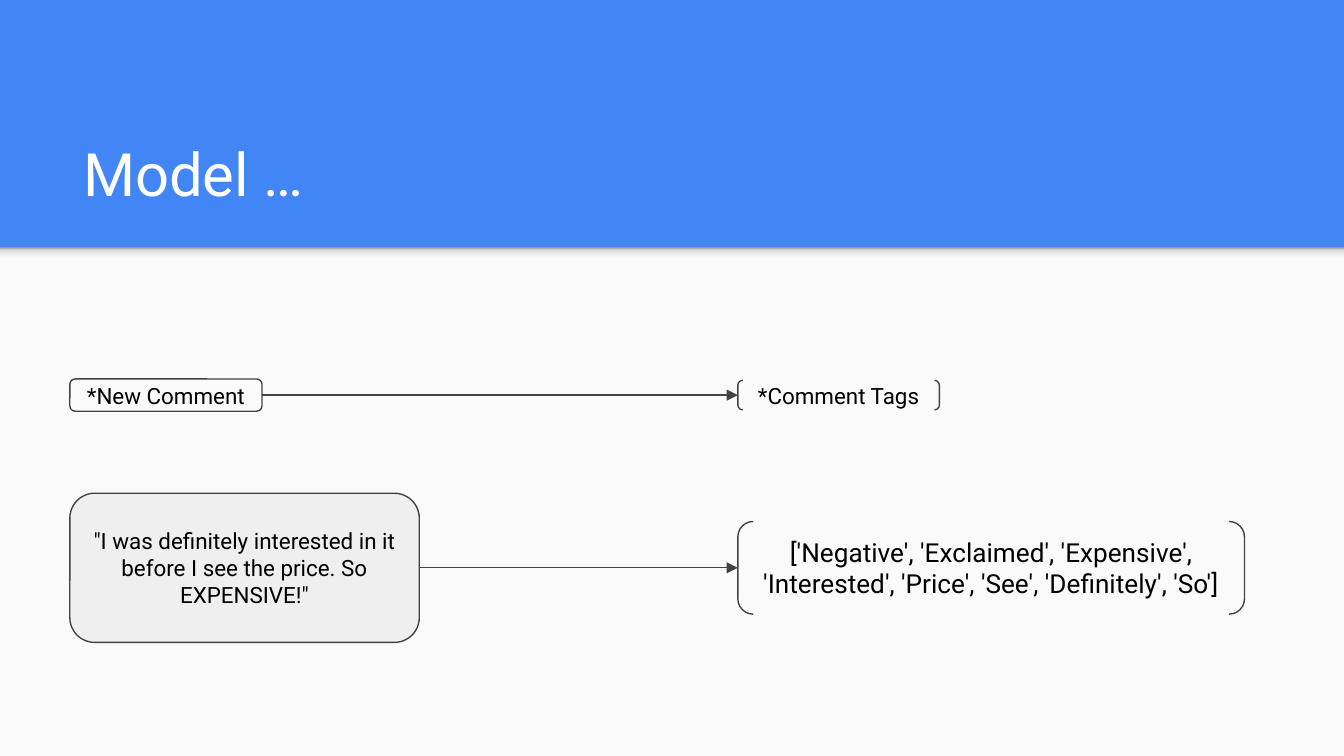
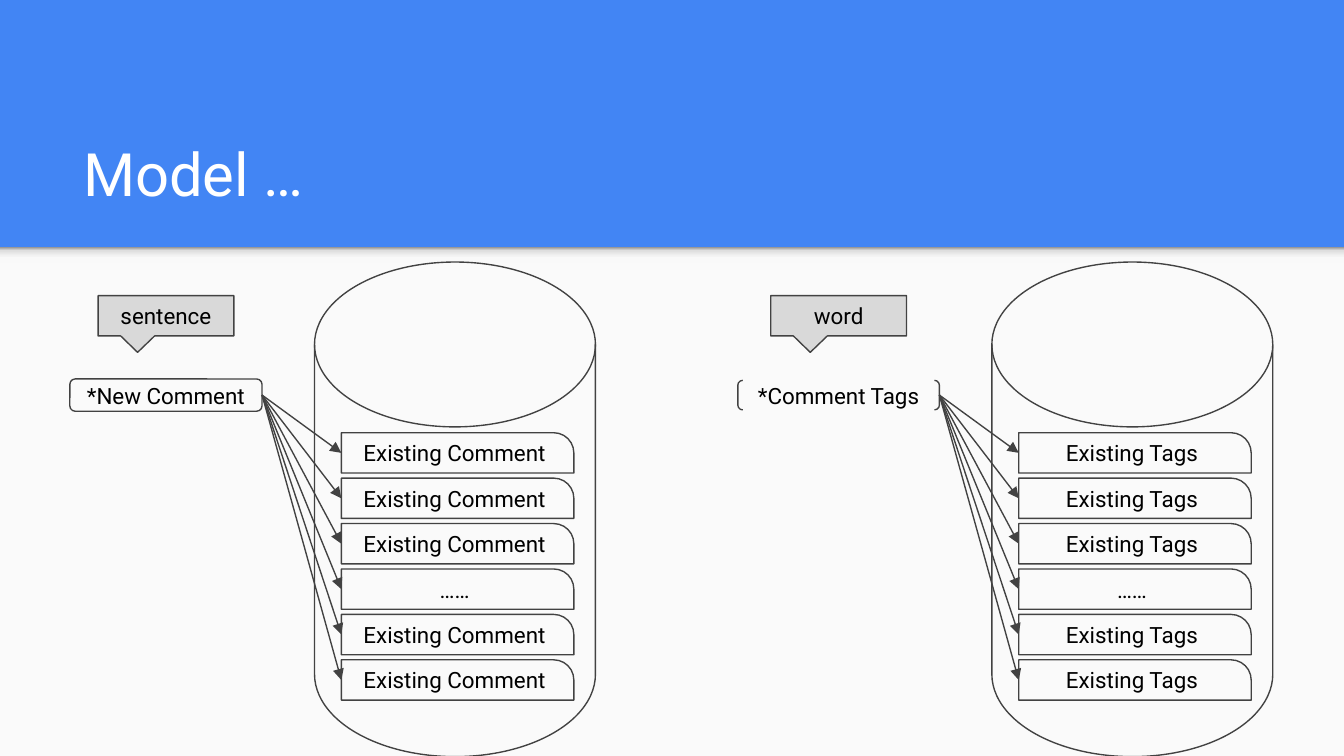
import copy

import pptx
import pptx.dml.color
import pptx.enum.shapes
import pptx.enum.text
import pptx.oxml.ns
import pptx.util
from lxml import etree

Inches = pptx.util.Inches
Pt = pptx.util.Pt
RGBColor = pptx.dml.color.RGBColor
SHAPE = pptx.enum.shapes.MSO_SHAPE
ALIGN = pptx.enum.text.PP_ALIGN
ANCHOR = pptx.enum.text.MSO_ANCHOR

BLUE = RGBColor(0x42, 0x85, 0xF4)
PAPER = RGBColor(0xFA, 0xFA, 0xFA)
WHITE = RGBColor(0xFF, 0xFF, 0xFF)
BLACK = RGBColor(0x00, 0x00, 0x00)
OUTLINE = RGBColor(0x42, 0x42, 0x42)
QUOTE_FILL = RGBColor(0xEF, 0xEF, 0xEF)
CALLOUT_FILL = RGBColor(0xD9, 0xD9, 0xD9)
SHADE_STOPS = (
    (0, RGBColor(0xF9, 0xF9, 0xF9)),
    (0.36, RGBColor(0xF9, 0xF9, 0xF9)),
    (0.8, RGBColor(0xDE, 0xDE, 0xDE)),
    (1, RGBColor(0x99, 0x99, 0x99)),
)

FONT = "Roboto"
WIDTH = 10
HEIGHT = WIDTH * 9 / 16
BAND_BOTTOM = 1.84
LEFT_SITE, RIGHT_SITE = 1, 3
COMMENT_BOX = (0.52, 2.82, 1.43, 0.24)
TAGS_BOX = (5.49, 2.83, 1.5, 0.22)
ROW_COUNT = 6
ELLIPSIS_ROW = 3
ROW_PITCH = 1.69 / (ROW_COUNT - 1)


def write(shape, text, size, color, align, anchor):
    frame = shape.text_frame
    frame.word_wrap = True
    frame.vertical_anchor = anchor
    frame.margin_left = frame.margin_right = Inches(0.1)
    frame.margin_top = frame.margin_bottom = Inches(0.1)
    para = frame.paragraphs[0]
    para.alignment = align
    span = para.add_run()
    span.text = text
    span.font.name = FONT
    span.font.size = Pt(size)
    span.font.color.rgb = color


def add_node(page, kind, box, text="", size=12, fill=None, outline=OUTLINE, adjust=()):
    node = page.shapes.add_shape(kind, *map(Inches, box))
    node.shadow.inherit = False
    if fill is None:
        node.fill.background()
    else:
        node.fill.solid()
        node.fill.fore_color.rgb = fill
    if outline is None:
        node.line.fill.background()
    else:
        node.line.color.rgb = outline
        node.line.width = Pt(0.75)
    for index, value in enumerate(adjust):
        node.adjustments[index] = value
    if text:
        write(node, text, size, BLACK, ALIGN.CENTER, ANCHOR.MIDDLE)
    return node


def add_arrow(page, source, target):
    arrow = page.shapes.add_connector(pptx.enum.shapes.MSO_CONNECTOR.STRAIGHT, 0, 0, 0, 0)
    arrow.begin_connect(source, RIGHT_SITE)
    arrow.end_connect(target, LEFT_SITE)
    arrow.line.color.rgb = OUTLINE
    arrow.line.width = Pt(0.75)
    line = arrow._element.spPr.find(pptx.oxml.ns.qn("a:ln"))
    etree.SubElement(line, pptx.oxml.ns.qn("a:tailEnd"), type="triangle")
    etree.SubElement(arrow._element.spPr, pptx.oxml.ns.qn("a:effectLst"))


def add_band_shade(page, box):
    shade = add_node(page, SHAPE.RECTANGLE, box, outline=None)
    shade.fill.gradient()
    shade.fill.gradient_angle = 90
    stop_list = shade._element.spPr.find(".//" + pptx.oxml.ns.qn("a:gsLst"))
    while len(stop_list) < len(SHADE_STOPS):
        stop_list.append(copy.deepcopy(stop_list[0]))
    for stop, (position, color) in zip(shade.fill.gradient_stops, SHADE_STOPS):
        stop.position = position
        stop.color.rgb = color


def add_page(deck, title):
    page = deck.slides.add_slide(deck.slide_layouts[6])
    page.background.fill.solid()
    page.background.fill.fore_color.rgb = BLUE
    body = (0, BAND_BOTTOM, WIDTH, HEIGHT - BAND_BOTTOM)
    add_node(page, SHAPE.RECTANGLE, body, fill=PAPER, outline=None)
    add_band_shade(page, (0, BAND_BOTTOM, WIDTH, 0.12))
    heading = page.shapes.add_textbox(*map(Inches, (0.52, 0.81, 8.99, 0.84)))
    write(heading, title, 32, WHITE, ALIGN.LEFT, ANCHOR.BOTTOM)
    return page


def add_comment(page):
    return add_node(page, SHAPE.ROUNDED_RECTANGLE, COMMENT_BOX, "*New Comment", adjust=[0.167])


def add_tags(page):
    return add_node(page, SHAPE.DOUBLE_BRACKET, TAGS_BOX, "*Comment Tags")


def add_example(page, quote_box, result_box):
    quote = add_node(
        page, SHAPE.FLOWCHART_ALTERNATE_PROCESS, quote_box,
        '"I was definitely interested in it before I see the price. So EXPENSIVE!"',
        fill=QUOTE_FILL,
    )
    result = add_node(
        page, SHAPE.DOUBLE_BRACKET, result_box,
        "['Negative', 'Exclaimed', 'Expensive', 'Interested', 'Price', 'See', 'Definitely', 'So']",
        size=14,
    )
    add_arrow(page, quote, result)


def add_store(page, source, box, row_text):
    left, top, width, height = box
    add_node(page, SHAPE.FLOWCHART_MAGNETIC_DISK, box)
    for index in range(ROW_COUNT):
        row_box = (left + 0.2, top + 1.27 + index * ROW_PITCH, 1.73, 0.3)
        text = "……" if index == ELLIPSIS_ROW else row_text
        row = add_node(page, SHAPE.ROUND_1_RECTANGLE, row_box, text, adjust=[0.5])
        add_arrow(page, source, row)


def add_callout(page, node_box, text):
    left, top, width, height = node_box
    callout_width = 1.01
    box = (left + (width - callout_width) / 2, 2.2, callout_width, 0.3)
    add_node(page, SHAPE.ROUNDED_RECTANGULAR_CALLOUT, box, text,
             fill=CALLOUT_FILL, adjust=[-0.209, 0.907, 0])


def build_flow_page(deck):
    page = add_page(deck, "Model …")
    add_arrow(page, add_comment(page), add_tags(page))
    add_example(page, (0.52, 3.67, 2.6, 1.11), (5.49, 3.88, 3.77, 0.69))


def build_matching_page(deck):
    page = add_page(deck, "Model …")
    columns = (
        (add_comment, COMMENT_BOX, "sentence", "Existing Comment"),
        (add_tags, TAGS_BOX, "word", "Existing Tags"),
    )
    for add_source, source_box, level, row_text in columns:
        source = add_source(page)
        store_left = source_box[0] + source_box[2] + 0.39
        add_store(page, source, (store_left, 1.95, 2.09, 3.68), row_text)
        add_callout(page, source_box, level)


def main():
    deck = pptx.Presentation()
    deck.slide_width = Inches(WIDTH)
    deck.slide_height = Inches(HEIGHT)
    build_flow_page(deck)
    build_matching_page(deck)
    deck.save("out.pptx")


if __name__ == "__main__":
    main()
